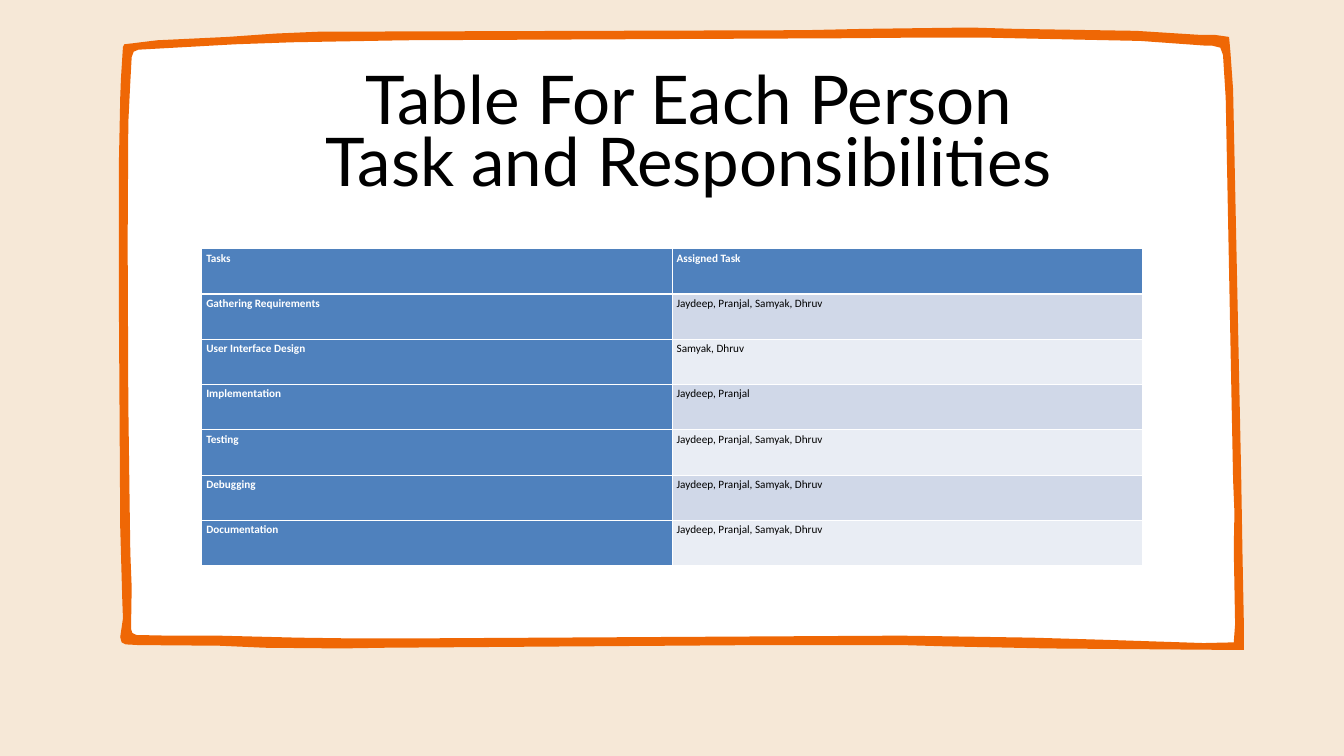
from lxml import etree
from pptx import Presentation
from pptx.dml.color import RGBColor
from pptx.enum.text import MSO_ANCHOR, MSO_AUTO_SIZE, PP_ALIGN
from pptx.oxml.ns import qn
from pptx.util import Inches, Pt

TOP = MSO_ANCHOR.TOP
GROW = MSO_AUTO_SIZE.SHAPE_TO_FIT_TEXT
CENTER = PP_ALIGN.CENTER
WHITE, BLACK, BLUE = "FFFFFF", "000000", "4F81BD"
BANDS = ["D0D8E8", "E9EDF4"]


def paint(target, color):
    target.solid()
    target.fore_color.rgb = RGBColor.from_string(color)


def outline(shapes, rings, color):
    """Draw closed rings, given in inches, as one filled shape."""
    rings = [[(Inches(x), Inches(y)) for x, y in ring] for ring in rings]
    pen = shapes.build_freeform(*rings[0][0])
    pen.add_line_segments(rings[0][1:])
    for ring in rings[1:]:
        pen.move_to(*ring[0])
        pen.add_line_segments(ring[1:])
    shape = pen.convert_to_shape()
    shape.shadow.inherit = False
    paint(shape.fill, color)
    shape.line.fill.background()


prs = Presentation()
prs.slide_width, prs.slide_height = Inches(20), Inches(11.25)
slide = prs.slides.add_slide(prs.slide_layouts[5])
paint(slide.background.fill, "F6E8D7")

# White sheet with a hand-drawn orange frame
sheet = [(18.42, 9.61), (1.83, 9.56), (1.83, 3.76), (1.95, 0.64),
         (10.09, 0.52), (18.29, 0.55)]
outer = [
    (18.29, 0.55), (18.31, 0.77), (18.35, 1.33), (18.47, 7.06),
    (18.49, 8.26), (18.51, 9.28), (18.51, 9.67), (18.08, 9.67),
    (15.59, 9.65), (14.11, 9.62), (13.42, 9.6), (11.32, 9.6),
    (5.73, 9.64), (5.08, 9.65), (3.94, 9.64), (3.27, 9.61),
    (2.06, 9.6), (1.87, 9.59), (1.81, 9.56), (1.79, 9.48),
    (1.83, 9.2), (1.82, 8.93), (1.79, 7.86), (1.77, 4.6),
    (1.77, 2.4), (1.79, 1.44), (1.8, 1.17), (1.83, 0.7),
    (1.85, 0.66), (2.34, 0.6), (3.39, 0.55), (4.1, 0.5),
    (4.8, 0.47), (5.56, 0.47), (11.96, 0.45), (12.89, 0.43),
    (14.44, 0.41), (15.1, 0.43), (16.91, 0.46), (17.86, 0.52),
    (18.08, 0.52)]
inner = [
    (18.36, 9.56), (18.38, 9.29), (18.36, 8.16), (18.37, 7.63),
    (18.35, 7.14), (18.24, 1.46), (18.2, 0.82), (18.16, 0.71),
    (18.04, 0.68), (17.94, 0.68), (16.97, 0.61), (14.63, 0.56),
    (13.72, 0.56), (12.51, 0.57), (6.03, 0.6), (4.35, 0.63),
    (3.5, 0.66), (2.06, 0.74), (1.99, 0.77), (1.96, 0.85),
    (1.94, 1.22), (1.91, 1.82), (1.9, 3.6), (1.91, 6),
    (1.93, 7.54), (1.94, 8.23), (1.96, 8.74), (1.95, 9.36),
    (1.97, 9.42), (2.03, 9.45), (2.51, 9.46), (3.25, 9.46),
    (4.43, 9.49), (5.18, 9.5), (6.29, 9.5), (13.4, 9.46),
    (14.11, 9.47), (15.36, 9.49), (16.39, 9.52), (17.91, 9.57)]
frame = slide.shapes.add_group_shape()
outline(frame.shapes, [sheet], WHITE)
outline(frame.shapes, [outer, inner], "EF6705")

# Title, in front of the frame
title = slide.shapes.title
title.element.addprevious(frame.element)
title.left, title.top = Inches(4.5), Inches(1.14)
title.width, title.height = Inches(11.5), Inches(2.85)
box = title.text_frame
box.word_wrap = True
box.auto_size = GROW
box.vertical_anchor = TOP
box.margin_left = box.margin_right = box.margin_top = box.margin_bottom = 0
para = box.paragraphs[0]
para.alignment = CENTER
para.line_spacing = Pt(66.2)
run = para.add_run()
run.text = "Table For Each Person Task and Responsibilities"
run.font.name, run.font.size = "Lato", Pt(72)
run.font.color.rgb = RGBColor.from_string(BLACK)

# Table of tasks
team = "Jaydeep, Pranjal, Samyak, Dhruv"
tasks = [
    ("Tasks", "Assigned Task"),
    ("Gathering Requirements", team),
    ("User Interface Design", "Samyak, Dhruv"),
    ("Implementation", "Jaydeep, Pranjal"),
    ("Testing", team),
    ("Debugging", team),
    ("Documentation", team),
]
table = slide.shapes.add_table(len(tasks), 2, Inches(3), Inches(3.7),
                               Inches(14), Inches(4.72)).table
for r, row in enumerate(tasks):
    for c, text in enumerate(row):
        cell = table.cell(r, c)
        head = r == 0 or c == 0
        cell.margin_left = cell.margin_right = Inches(0.07)
        cell.margin_top = cell.margin_bottom = 0

        # White borders, thick under the header row
        props = cell._tc.get_or_add_tcPr()
        for side in "LRTB":
            thick = (r, side) in [(0, "B"), (1, "T")]
            line = etree.SubElement(props, qn("a:ln" + side),
                                    w=str(Pt(3 if thick else 1)))
            fill = etree.SubElement(line, qn("a:solidFill"))
            etree.SubElement(fill, qn("a:srgbClr"), val=WHITE)
        paint(cell.fill, BLUE if head else BANDS[(r - 1) % 2])

        para = cell.text_frame.paragraphs[0]
        para.line_spacing = 1.2
        para.space_after = Pt(8)
        run = para.add_run()
        run.text = text
        run.font.name, run.font.size = "Calibri", Pt(12)
        run.font.bold = head
        run.font.color.rgb = RGBColor.from_string(WHITE if head else BLACK)

prs.save("out.pptx")
